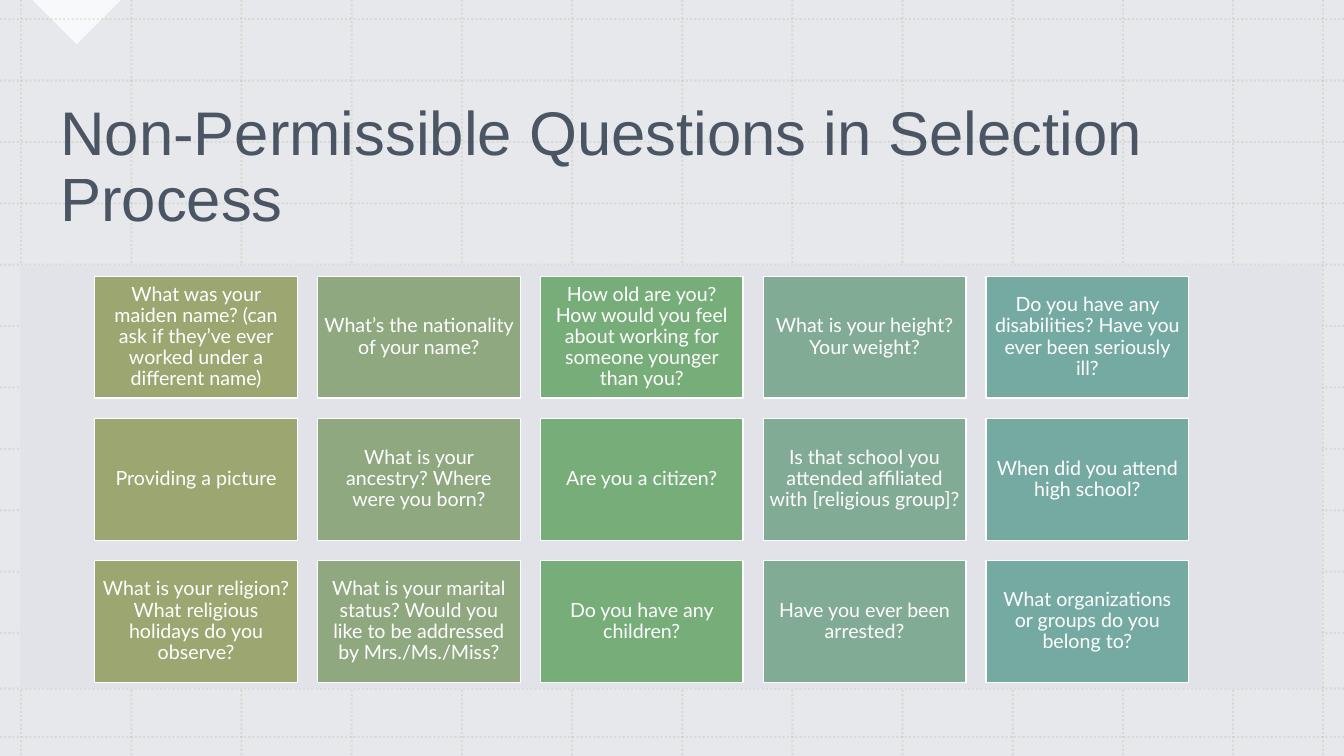
from dataclasses import dataclass

from lxml.etree import SubElement
from pptx import Presentation
from pptx.dml.color import RGBColor
from pptx.enum.dml import MSO_LINE
from pptx.enum.shapes import MSO_CONNECTOR, MSO_SHAPE
from pptx.enum.text import MSO_ANCHOR, PP_ALIGN
from pptx.oxml.ns import qn
from pptx.shapes.autoshape import Shape
from pptx.shapes.base import BaseShape
from pptx.slide import Slide
from pptx.util import Inches, Pt

WIDE, HIGH = 13.33, 7.5
HEX = {
    "white": "FFFFFF",
    "mist": "E2E3E8",
    "navy": "243141",
    "olive": "9CA671",
    "sage": "8FA880",
    "green": "76AD78",
    "mint": "81AB94",
    "teal": "74AAA2",
}
TINTS = ["olive", "sage", "green", "mint", "teal"]
ASKS = [
    [
        "What was your maiden name? (can ask if they’ve ever worked under a different name)",
        "What’s the nationality of your name?",
        "How old are you? How would you feel about working for someone younger than you?",
        "What is your height? Your weight?",
        "Do you have any disabilities? Have you ever been seriously ill?",
    ],
    [
        "Providing a picture",
        "What is your ancestry? Where were you born?",
        "Are you a citizen?",
        "Is that school you attended affiliated with [religious group]?",
        "When did you attend high school?",
    ],
    [
        "What is your religion? What religious holidays do you observe?",
        "What is your marital status? Would you like to be addressed by Mrs./Ms./Miss?",
        "Do you have any children?",
        "Have you ever been arrested?",
        "What organizations or groups do you belong to?",
    ],
]


@dataclass
class Box:
    left: float
    top: float
    width: float
    height: float
    tint: str


@dataclass
class Card:
    box: Box
    text: str


def color(name: str) -> RGBColor:
    return RGBColor.from_string(HEX[name])


def fade(shape: BaseShape, percent: int) -> None:
    for node in list(shape._element.iter(qn("a:srgbClr"))):
        SubElement(node, qn("a:alpha")).set("val", str(percent * 1000))


def draw_box(slide: Slide, box: Box, kind: MSO_SHAPE = MSO_SHAPE.RECTANGLE) -> Shape:
    shape = slide.shapes.add_shape(
        kind, Inches(box.left), Inches(box.top), Inches(box.width), Inches(box.height)
    )
    shape.shadow.inherit = False
    shape.fill.solid()
    shape.fill.fore_color.rgb = color(box.tint)
    shape.line.fill.background()
    return shape


def draw_line(slide: Slide, x1: float, y1: float, x2: float, y2: float) -> None:
    line = slide.shapes.add_connector(
        MSO_CONNECTOR.STRAIGHT, Inches(x1), Inches(y1), Inches(x2), Inches(y2)
    )
    line.line.color.rgb = color("olive")
    line.line.width = Pt(1.5)
    line.line.dash_style = MSO_LINE.ROUND_DOT
    SubElement(line._element.spPr, qn("a:effectLst"))
    fade(line, 20)


def write(shape: Shape, text: str, font: str, size: int, tint: str, align: PP_ALIGN) -> None:
    frame = shape.text_frame
    frame.word_wrap = True
    frame.vertical_anchor = MSO_ANCHOR.MIDDLE
    para = frame.paragraphs[0]
    para.text = text
    para.alignment = align
    para.line_spacing = 0.9
    para.font.name = font
    para.font.size = Pt(size)
    para.font.color.rgb = color(tint)


def draw_card(slide: Slide, card: Card) -> None:
    shape = draw_box(slide, card.box)
    shape.line.color.rgb = color("white")
    shape.line.width = Pt(1)
    frame = shape.text_frame
    frame.margin_left = frame.margin_right = Inches(0.06)
    frame.margin_top = frame.margin_bottom = Inches(0.06)
    write(shape, card.text, "Lato", 14, "white", PP_ALIGN.CENTER)


def draw_grid(slide: Slide) -> None:
    for x in [0.21 + 12.02 * i / 11 for i in range(12)] + [13.12]:
        draw_line(slide, x, 0, x, HIGH)
    for y in [0.19 + 6.09 * i / 10 for i in range(11)] + [6.83, 7.31]:
        draw_line(slide, 0, y, WIDE, y)


def draw_title(slide: Slide) -> None:
    title = slide.shapes.add_textbox(Inches(0.5), Inches(0.79), Inches(11.75), Inches(1.76))
    text = "Non-Permissible Questions in Selection Process"
    write(title, text, "Arial", 44, "navy", PP_ALIGN.LEFT)
    fade(title, 80)


def main() -> None:
    deck = Presentation()
    deck.slide_width, deck.slide_height = Inches(WIDE), Inches(HIGH)
    slide = deck.slides.add_slide(deck.slide_layouts[6])
    slide.background.fill.solid()
    slide.background.fill.fore_color.rgb = color("white")

    fade(draw_box(slide, Box(0, 0, WIDE, HIGH, "mist")), 80)
    notch = draw_box(slide, Box(0.45, -0.31, 0.62, 0.62, "white"), MSO_SHAPE.RIGHT_TRIANGLE)
    notch.rotation = 315
    fade(notch, 75)
    draw_grid(slide)
    draw_title(slide)
    draw_box(slide, Box(0.2, 2.63, 12.91, 4.2, "mist"))

    for row, asks in enumerate(ASKS):
        for col, (text, tint) in enumerate(zip(asks, TINTS)):
            box = Box(0.94 + 2.21 * col, 2.74 + 1.41 * row, 2.01, 1.21, tint)
            draw_card(slide, Card(box, text))

    deck.save("out.pptx")


if __name__ == "__main__":
    main()
